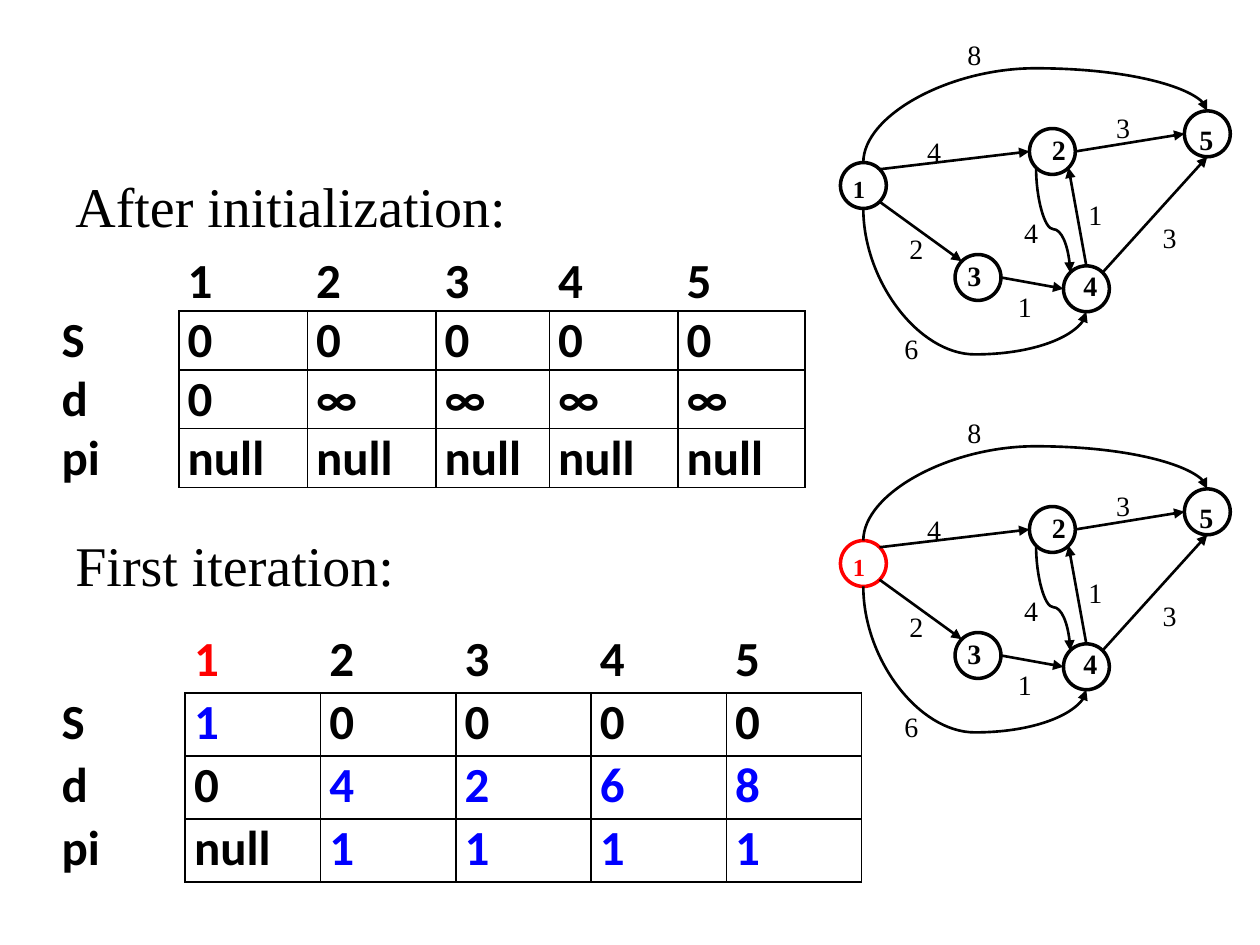
import math

import pptx
import pptx.dml.color
import pptx.enum.shapes
import pptx.oxml
import pptx.oxml.ns
import pptx.util

COLORS = {"ink": "000000", "current": "FF0000", "updated": "0000FF"}
SERIF, SANS = "Times New Roman", "Calibri"
CONNECTOR = pptx.enum.shapes.MSO_CONNECTOR
OVAL = pptx.enum.shapes.MSO_SHAPE.OVAL
qn = pptx.oxml.ns.qn

presentation = pptx.Presentation()
presentation.slide_width = pptx.util.Inches(10)
presentation.slide_height = pptx.util.Inches(7.5)
slide = presentation.slides.add_slide(presentation.slide_layouts[6])
UNIT = presentation.slide_width / 100  # the slide is 100 columns by 75 rows


def grid(*lengths):
    """Turn grid columns or rows into slide lengths."""
    return [round(length * UNIT) for length in lengths]


def write(paragraph, text, color="ink", **formats):
    run = paragraph.add_run()
    run.text = text
    run.font.color.rgb = pptx.dml.color.RGBColor.from_string(COLORS[color])
    for name, value in formats.items():
        setattr(run.font, name, value)


# Headings
headings = slide.shapes.add_textbox(*grid(5, 13.1, 90, 49.5)).text_frame
headings.word_wrap = True
heading_font = {"size": pptx.util.Pt(32), "name": SERIF}
write(headings.paragraphs[0], "After initialization:", **heading_font)
second_heading = headings.add_paragraph()
second_heading.space_before = pptx.util.Pt(167)
write(second_heading, "First iteration:", **heading_font)

# Tables: top, row height, column widths, rows, cells in colour
header = ["", "1", "2", "3", "4", "5"]
tables = [
    (20, 4.3, [10, 10.2, 10.2, 9, 10.2, 10.1],
     [header,
      ["S"] + ["0"] * 5,
      ["d", "0"] + ["∞"] * 4,
      ["pi"] + ["null"] * 5],
     {}),
    (50, 5, [10.5] + [10.74] * 5,
     [header,
      ["S", "1"] + ["0"] * 4,
      ["d", "0", "4", "2", "6", "8"],
      ["pi", "null"] + ["1"] * 4],
     {(0, 1): "current", (1, 1): "updated",
      **{(row, column): "updated" for row in (2, 3) for column in range(2, 6)}}),
]
for top, row_height, widths, rows, highlights in tables:
    frame = slide.shapes.add_table(
        len(rows), len(widths), *grid(4.2, top, sum(widths), row_height * len(rows)))
    table = frame.table
    table.first_row = table.horz_banding = False
    # "No Style, No Grid"
    table._tbl.tblPr.find(qn("a:tableStyleId")).text = "{2D5ABB26-0587-4C30-8999-92F81FD0307C}"
    for column, width in zip(table.columns, grid(*widths)):
        column.width = width
    for row_index, values in enumerate(rows):
        table.rows[row_index].height = grid(row_height)[0]
        for column_index, value in enumerate(values):
            cell = table.cell(row_index, column_index)
            cell.margin_left = cell.margin_right = grid(0.7)[0]
            cell.margin_top = cell.margin_bottom = 0
            if value:
                write(cell.text_frame.paragraphs[0], value,
                      highlights.get((row_index, column_index), "ink"),
                      size=pptx.util.Pt(28), name=SANS, bold=True)
            boxed = row_index > 0 and column_index > 0
            ruled = {"lnL": boxed, "lnR": boxed or row_index > 0,
                     "lnT": boxed, "lnB": boxed or column_index > 0}
            for side, visible in ruled.items():
                paint = (f'<a:solidFill><a:srgbClr val="{COLORS["ink"]}"/></a:solidFill>'
                         if visible else "<a:noFill/>")
                cell._tc.get_or_add_tcPr().append(pptx.oxml.parse_xml(
                    f'<a:{side} {pptx.oxml.ns.nsdecls("a")} w="12700">{paint}</a:{side}>'))
            cell.fill.background()

# Graphs
DIAMETER = 3.64
# number: left and top of the circle, left and top of its number, text size
nodes = {
    1: (66.7, 12.9, 66.7, 13.3, 14),
    2: (81.7, 10.2, 82.5, 10, 16),
    3: (75.8, 20.2, 75.8, 20, 16),
    4: (84.4, 21.1, 85, 20.8, 16),
    5: (94, 8.8, 94.2, 9.2, 16),
}
# Circle sites, counted anticlockwise in eighths of a turn from the top
TOP, TOP_LEFT, LEFT, BOTTOM_LEFT, BOTTOM, BOTTOM_RIGHT, RIGHT, TOP_RIGHT = range(8)
# start and site, end and site, then for a curve: turn, flips, bend
edges = [
    (1, TOP, 5, TOP, (90, ("flipH", "flipV"), 182500)),
    (1, BOTTOM_RIGHT, 3, TOP_LEFT, None),
    (3, RIGHT, 4, LEFT, None),
    (4, TOP_RIGHT, 5, BOTTOM, None),
    (1, TOP_RIGHT, 2, LEFT, None),
    (2, RIGHT, 5, LEFT, None),
    (4, TOP, 2, BOTTOM_RIGHT, None),
    (1, BOTTOM, 4, BOTTOM, (270, ("flipH",), 141300)),
    (2, BOTTOM_LEFT, 4, TOP_LEFT, (270, ("flipH",), 58600)),
]
# weight, left, top
weights = [
    ("8", 75.8, 2.5), ("4", 72.6, 10.2), ("3", 87.6, 8.3),
    ("6", 70.8, 25.8), ("2", 71.2, 17.9), ("1", 79.8, 22.5),
    ("4", 80.3, 16.6), ("1", 85.4, 15.2), ("3", 91.3, 17),
]
for offset, first_color in ((0, "ink"), (30, "current")):
    graph = slide.shapes.add_group_shape().shapes
    texts = []
    for number, (left, top, text_left, text_top, size) in nodes.items():
        color = first_color if number == 1 else "ink"
        circle = graph.add_shape(OVAL, *grid(left, top + offset, DIAMETER, DIAMETER))
        circle.shadow.inherit = False
        circle.fill.background()
        circle.line.color.rgb = pptx.dml.color.RGBColor.from_string(COLORS[color])
        circle.line.width = pptx.util.Pt(2)
        texts.append((str(number), text_left, text_top, 2.3, color, size, True))

    for start, start_site, end, end_site, curve in edges:
        (x1, y1), (x2, y2) = [
            (nodes[node][0] + DIAMETER / 2 * (1 - math.sin(site * math.pi / 4)),
             nodes[node][1] + offset + DIAMETER / 2 * (1 - math.cos(site * math.pi / 4)))
            for node, site in ((start, start_site), (end, end_site))]
        if curve:
            # A quarter turn swaps width and height about the centre
            turn, flips, bend = curve
            middle_x, middle_y = (x1 + x2) / 2, (y1 + y2) / 2
            half_width, half_height = abs(y2 - y1) / 2, abs(x2 - x1) / 2
            x1, x2 = middle_x - half_width, middle_x + half_width
            y1, y2 = middle_y - half_height, middle_y + half_height
        arrow = graph.add_connector(
            CONNECTOR.CURVE if curve else CONNECTOR.STRAIGHT, *grid(x1, y1, x2, y2))
        arrow.line.color.rgb = pptx.dml.color.RGBColor.from_string(COLORS["ink"])
        arrow.line.width = pptx.util.Pt(1.5)
        properties = arrow._element.spPr
        pptx.oxml.ns.qn  # namespace lookup is shared with the tables
        arrow.line._get_or_add_ln().append(pptx.oxml.parse_xml(
            f'<a:tailEnd {pptx.oxml.ns.nsdecls("a")} type="triangle"/>'))
        properties.append(pptx.oxml.parse_xml(
            f'<a:effectLst {pptx.oxml.ns.nsdecls("a")}/>'))
        if curve:
            transform = properties.find(qn("a:xfrm"))
            transform.set("rot", str(turn * 60000))
            for flip in flips:
                transform.set(flip, "1")
            geometry = properties.find(qn("a:prstGeom"))
            geometry.get_or_add_avLst().append(pptx.oxml.parse_xml(
                f'<a:gd {pptx.oxml.ns.nsdecls("a")} name="adj1" fmla="val {bend}"/>'))

    texts += [(text, left, top, 2.7, "ink", 16, False) for text, left, top in weights]
    for text, left, top, width, color, size, bold in texts:
        text_frame = graph.add_textbox(*grid(left, top + offset, width, 3.7)).text_frame
        text_frame.word_wrap = True
        text_frame.margin_right = 0
        write(text_frame.paragraphs[0], text, color,
              size=pptx.util.Pt(size), name=SERIF, bold=bold)

presentation.save("out.pptx")
